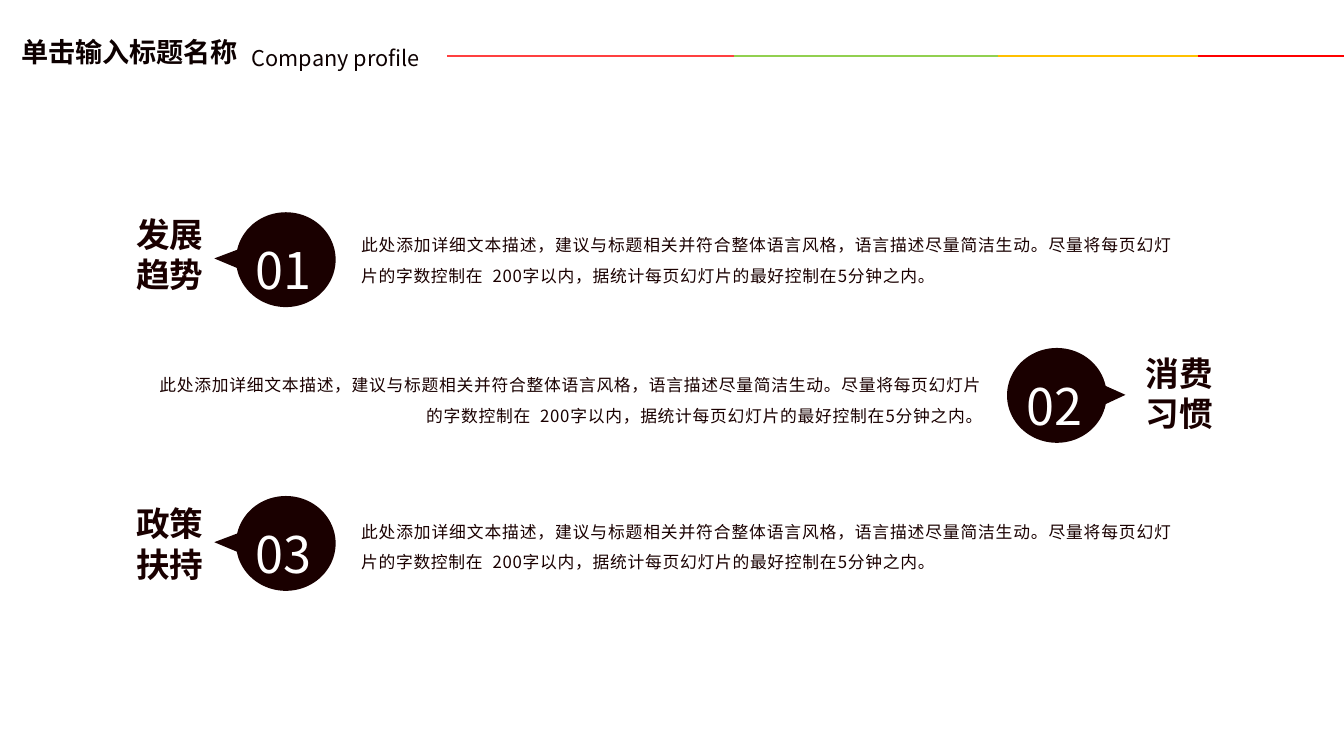
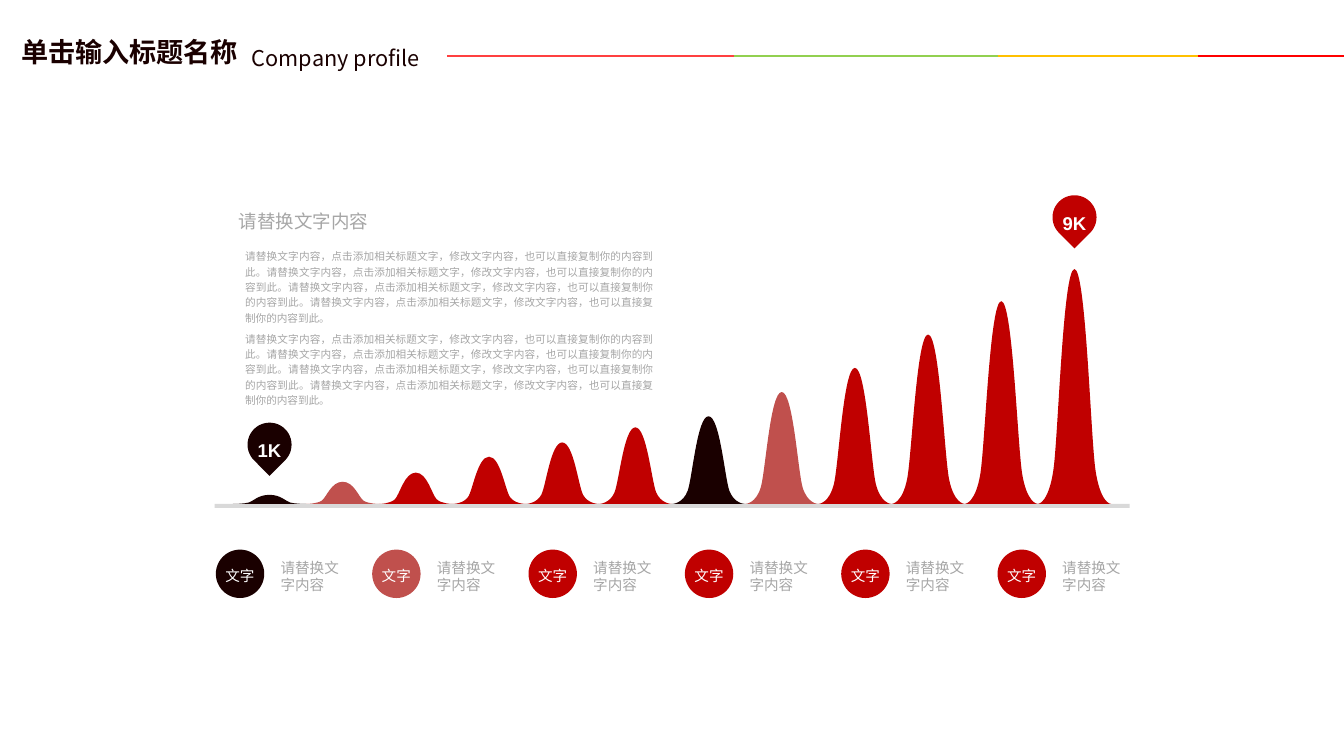
from dataclasses import dataclass

from lxml.etree import SubElement
from pptx import Presentation
from pptx.dml.color import RGBColor
from pptx.enum.shapes import MSO_CONNECTOR, MSO_SHAPE
from pptx.enum.text import MSO_ANCHOR, MSO_AUTO_SIZE, PP_ALIGN
from pptx.oxml.ns import qn
from pptx.presentation import Presentation as Deck
from pptx.shapes.autoshape import Shape
from pptx.slide import Slide
from pptx.util import Cm, Pt

DARK = RGBColor(0x1A, 0x00, 0x00)
NEAR_BLACK = RGBColor(0x0D, 0x00, 0x00)
CRIMSON = RGBColor(0xC0, 0x00, 0x00)
ROSE = RGBColor(0xC0, 0x50, 0x4D)
CORAL = RGBColor(0xFF, 0x40, 0x40)
GREEN = RGBColor(0x92, 0xD0, 0x50)
AMBER = RGBColor(0xFF, 0xC0, 0x00)
RED = RGBColor(0xFF, 0x00, 0x00)
GREY = RGBColor(0xA6, 0xA6, 0xA6)
LIGHT_GREY = RGBColor(0xD9, 0xD9, 0xD9)
WHITE = RGBColor(0xFF, 0xFF, 0xFF)

CJK_FONT = "Noto Sans CJK SC"
LATIN_FONT = "Arial"

SLIDE_WIDTH = 33.87
SLIDE_HEIGHT = 19.05
RULE_TOP = 1.42
RULE_COLOURS = (CORAL, GREEN, AMBER, RED)
RULE_STOPS = (11.27, 18.49, 25.15, 30.19, SLIDE_WIDTH)

DESCRIPTION = (
    "此处添加详细文本描述，建议与标题相关并符合整体语言风格，语言描述尽量简洁生动。"
    "尽量将每页幻灯片的字数控制在  200字以内，据统计每页幻灯片的最好控制在5分钟之内。"
)
FILLER = "请替换文字内容"
FILLER_PARAGRAPH = (
    "请替换文字内容，点击添加相关标题文字，修改文字内容，也可以直接复制你的内容到此。" * 4
)

BELL_LEFT = 5.87
BELL_RIGHT = 28.0
BASELINE = 12.7
# Bézier control points of the rising half, as shares of the width and height
BELL_RISE = (
    (0, 0), (0.01, 0), (0.15, 0.005), (0.215, 0.15), (0.28, 0.305), (0.345, 1), (0.5, 1),
)
BELL_OUTLINE = BELL_RISE + tuple((1 - x, y) for x, y in reversed(BELL_RISE[:-1]))
PIN_SIZE = 1.11
LEGEND_LEFT = 5.44
LEGEND_PITCH = 3.94
LEGEND_COLOURS = (DARK, ROSE) + (CRIMSON,) * 4


@dataclass(frozen=True)
class Box:
    """A rectangle in centimetres."""

    left: float
    top: float
    width: float
    height: float

    def lengths(self) -> tuple[Cm, Cm, Cm, Cm]:
        return Cm(self.left), Cm(self.top), Cm(self.width), Cm(self.height)


@dataclass(frozen=True)
class Topic:
    number: str
    heading: str
    callout_top: float
    heading_top: float
    body_top: float
    on_right: bool = False


@dataclass(frozen=True)
class Bell:
    height: float
    colour: RGBColor = CRIMSON
    pin_text: str = ""
    pin_top: float = 0


TOPICS = (
    Topic("01", "发展\n趋势", 5.35, 5.26, 5.54),
    Topic("02", "消费\n习惯", 8.77, 8.76, 9.07, on_right=True),
    Topic("03", "政策\n扶持", 12.5, 12.55, 12.76),
)
BELLS = (
    Bell(0.23, DARK, "1K", 10.65),
    Bell(0.56, ROSE),
    Bell(0.79),
    Bell(1.19),
    Bell(1.55),
    Bell(1.93),
    Bell(2.21, DARK),
    Bell(2.82, ROSE),
    Bell(3.43),
    Bell(4.27),
    Bell(5.11),
    Bell(5.92, CRIMSON, "9K", 4.92),
)


def write_text(
    shape: Shape,
    text: str,
    *,
    size: float,
    colour: RGBColor,
    font: str = CJK_FONT,
    bold: bool = False,
    align: PP_ALIGN = PP_ALIGN.LEFT,
    anchor: MSO_ANCHOR = MSO_ANCHOR.TOP,
    line_spacing: float = 1.0,
    letter_spacing: float = 0,
    wrap: bool = True,
    side_inset: float = 0.25,
    end_inset: float = 0.13,
) -> None:
    """Fill a shape with text; each line of the text becomes a paragraph."""
    frame = shape.text_frame
    frame.auto_size = MSO_AUTO_SIZE.NONE
    frame.word_wrap = wrap
    frame.vertical_anchor = anchor
    frame.margin_left = frame.margin_right = Cm(side_inset)
    frame.margin_top = frame.margin_bottom = Cm(end_inset)
    frame.text = text
    for paragraph in frame.paragraphs:
        paragraph.alignment = align
        paragraph.line_spacing = line_spacing
        for run in paragraph.runs:
            run.font.name = font
            run.font.size = Pt(size)
            run.font.bold = bold
            run.font.color.rgb = colour
            properties = run.font._element
            SubElement(properties, qn("a:ea")).set("typeface", CJK_FONT)
            if letter_spacing:
                properties.set("spc", str(round(letter_spacing * 100)))


def add_text(slide: Slide, box: Box, text: str, **text_format) -> None:
    write_text(slide.shapes.add_textbox(*box.lengths()), text, **text_format)


def paint(shape: Shape, colour: RGBColor) -> None:
    shape.shadow.inherit = False
    shape.fill.solid()
    shape.fill.fore_color.rgb = colour
    shape.line.fill.background()


def add_filled(slide: Slide, kind: MSO_SHAPE, box: Box, colour: RGBColor) -> Shape:
    shape = slide.shapes.add_shape(kind, *box.lengths())
    paint(shape, colour)
    return shape


def add_rule(slide: Slide, start: float, end: float, colour: RGBColor) -> None:
    rule = slide.shapes.add_connector(
        MSO_CONNECTOR.STRAIGHT, Cm(start), Cm(RULE_TOP), Cm(end), Cm(RULE_TOP)
    )
    rule.line.color.rgb = colour
    rule.line.width = Pt(1.5)
    SubElement(rule._element.spPr, qn("a:effectLst"))


def add_titled_slide(presentation: Deck, colour: RGBColor) -> Slide:
    """Add a slide with the shared title, subtitle and four-colour rule."""
    slide = presentation.slides.add_slide(presentation.slide_layouts[5])
    title = slide.shapes.title
    title.left, title.top, title.width, title.height = Box(0.28, 0.77, 6.48, 1.09).lengths()
    write_text(title, "单击输入标题名称", size=19.35, colour=colour, bold=True)
    add_text(slide, Box(6.1, 0.99, 6.48, 0.91), "Company profile", size=15.5, colour=colour)
    for start, end, rule_colour in zip(RULE_STOPS, RULE_STOPS[1:], RULE_COLOURS):
        add_rule(slide, start, end, rule_colour)
    return slide


def add_topic(slide: Slide, topic: Topic) -> None:
    if topic.on_right:
        callout_left, heading_left, body_left, body_width = 25.38, 28.62, 3.55, 21.46
        pointer, align = (0.689, -0.006), PP_ALIGN.RIGHT
    else:
        callout_left, heading_left, body_left, body_width = 5.95, 3.18, 8.85, 20.96
        pointer, align = (-0.719, -0.013), PP_ALIGN.JUSTIFY
    callout = add_filled(
        slide, MSO_SHAPE.OVAL_CALLOUT, Box(callout_left, topic.callout_top, 2.51, 2.39), DARK
    )
    callout.adjustments[0], callout.adjustments[1] = pointer
    add_text(
        slide, Box(callout_left + 0.25, topic.callout_top - 0.22, 2.1, 2.29), topic.number,
        size=36, colour=WHITE, line_spacing=1.5,
    )
    add_text(
        slide, Box(body_left, topic.body_top, body_width, 1.7), DESCRIPTION,
        size=12, colour=DARK, align=align, line_spacing=1.5, letter_spacing=0.5,
    )
    add_text(
        slide, Box(heading_left, topic.heading_top, 2.24, 2.31), topic.heading,
        size=24, colour=DARK, bold=True, wrap=False,
    )


def curve_outline(shape: Shape) -> None:
    """Turn every three line segments of a freeform into one Bézier curve."""
    segments = list(shape._element.iter(qn("a:lnTo")))
    for first, second, third in zip(segments[::3], segments[1::3], segments[2::3]):
        first.tag = qn("a:cubicBezTo")
        for segment in (second, third):
            first.append(segment[0])
            segment.getparent().remove(segment)


def add_bell(slide: Slide, bell: Bell, left: float, width: float) -> None:
    points = [
        (Cm(left + x * width), Cm(BASELINE - y * bell.height)) for x, y in BELL_OUTLINE
    ]
    builder = slide.shapes.build_freeform(*points[0])
    builder.add_line_segments(points[1:], close=True)
    shape = builder.convert_to_shape()
    curve_outline(shape)
    paint(shape, bell.colour)


def add_pin(slide: Slide, bell: Bell, centre: float) -> None:
    left = centre - PIN_SIZE / 2
    pin = add_filled(
        slide, MSO_SHAPE.TEAR, Box(left, bell.pin_top, PIN_SIZE, PIN_SIZE), bell.colour
    )
    pin.rotation = 135
    add_text(
        slide, Box(left, bell.pin_top + 0.29, PIN_SIZE, 0.69), bell.pin_text,
        size=13.2, colour=WHITE, font=LATIN_FONT, bold=True, align=PP_ALIGN.CENTER,
        anchor=MSO_ANCHOR.MIDDLE, line_spacing=1.2, wrap=False, side_inset=0, end_inset=0,
    )


def add_legend_entry(slide: Slide, left: float, colour: RGBColor) -> None:
    badge = add_filled(slide, MSO_SHAPE.OVAL, Box(left, 13.85, 1.22, 1.22), colour)
    shared = dict(size=10.4, font=LATIN_FONT, anchor=MSO_ANCHOR.MIDDLE, end_inset=0)
    write_text(
        badge, "文字", colour=WHITE, align=PP_ALIGN.CENTER, line_spacing=1.2,
        side_inset=0, **shared,
    )
    add_text(
        slide, Box(left + 1.47, 14.08, 1.8, 0.89), FILLER,
        colour=GREY, side_inset=0.16, **shared,
    )


def build_topics_slide(presentation: Deck) -> None:
    slide = add_titled_slide(presentation, NEAR_BLACK)
    for topic in TOPICS:
        add_topic(slide, topic)


def build_growth_slide(presentation: Deck) -> None:
    slide = add_titled_slide(presentation, DARK)
    add_filled(slide, MSO_SHAPE.RECTANGLE, Box(5.41, BASELINE, 23.06, 0.1), LIGHT_GREY)
    width = (BELL_RIGHT - BELL_LEFT) / len(BELLS)
    for index, bell in enumerate(BELLS):
        left = BELL_LEFT + index * width
        add_bell(slide, bell, left, width)
        if bell.pin_text:
            add_pin(slide, bell, left + width / 2)
    for index, colour in enumerate(LEGEND_COLOURS):
        add_legend_entry(slide, LEGEND_LEFT + index * LEGEND_PITCH, colour)
    copy_format = dict(
        colour=GREY, font=LATIN_FONT, line_spacing=1.2, side_inset=0, end_inset=0
    )
    add_text(slide, Box(6.02, 5.18, 3.3, 0.69), FILLER, size=13.2, wrap=False, **copy_format)
    for top in (6.24, 8.32):
        add_text(
            slide, Box(6.18, top, 10.29, 1.96), FILLER_PARAGRAPH,
            size=7.6, align=PP_ALIGN.JUSTIFY, **copy_format,
        )


def main() -> None:
    presentation = Presentation()
    presentation.slide_width = Cm(SLIDE_WIDTH)
    presentation.slide_height = Cm(SLIDE_HEIGHT)
    build_topics_slide(presentation)
    build_growth_slide(presentation)
    presentation.save("out.pptx")


if __name__ == "__main__":
    main()
